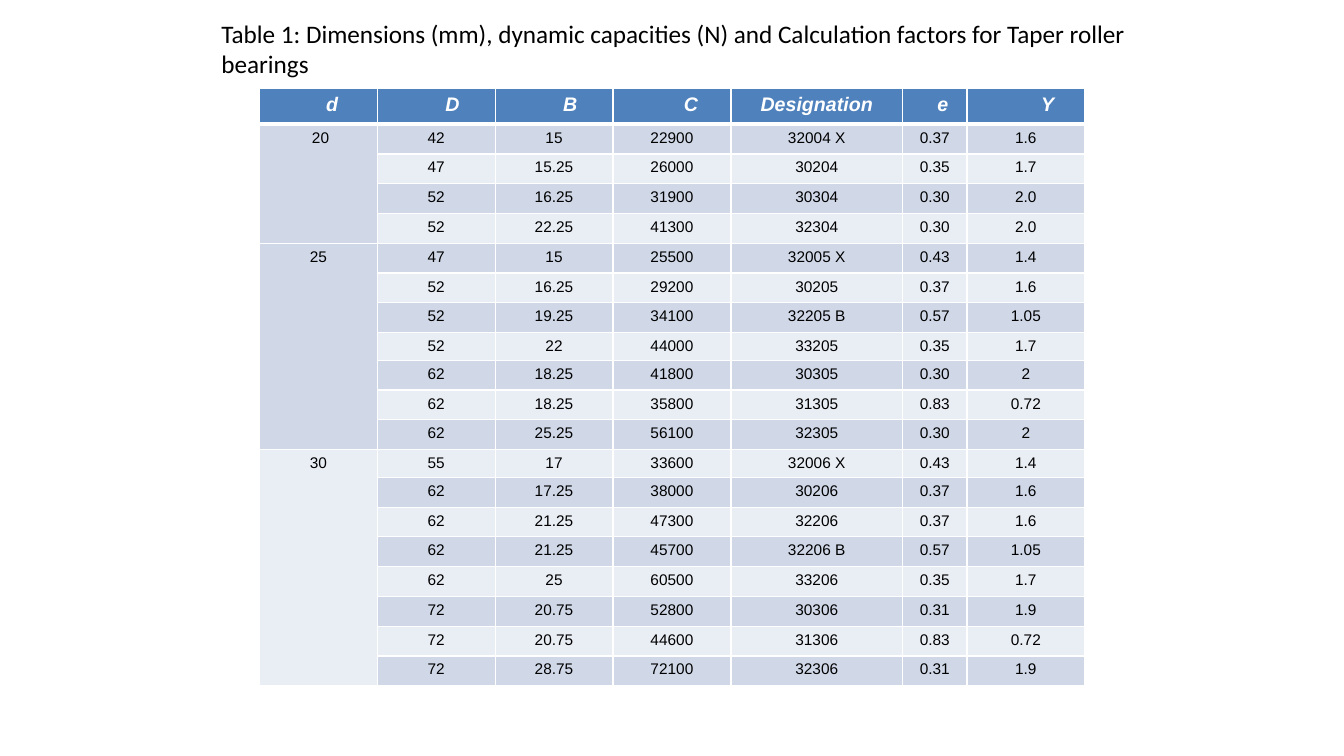
from lxml.etree import SubElement
from pptx import Presentation
from pptx.dml.color import RGBColor
from pptx.enum.text import MSO_ANCHOR, PP_ALIGN
from pptx.oxml.ns import qn
from pptx.util import Cm, Pt

WHITE = RGBColor(0xFF, 0xFF, 0xFF)
BLACK = RGBColor(0, 0, 0)
HEADER_BLUE = RGBColor(0x4F, 0x81, 0xBD)
BAND_DARK = RGBColor(0xD0, 0xD8, 0xE8)
BAND_LIGHT = RGBColor(0xE9, 0xED, 0xF4)

TITLE = ("Table 1: Dimensions (mm), dynamic capacities (N) and "
         "Calculation factors for Taper roller bearings")
HEADERS = ["d", "D", "B", "C", "Designation", "e", "Y"]
HEADER_INDENTS = [0.69, 0.82, 0.82, 0.96, 0, 0.41, 1.1]
COLUMN_WIDTHS = [2.97, 2.97, 2.97, 2.97, 4.33, 1.62, 2.97]
HEADER_HEIGHT, ROW_HEIGHT, SHORT_HEIGHT = 0.89, 0.75, 0.7
SHORT_ROWS = (8, 12)
MARGIN = 0.25

BEARINGS = {
    "20": [
        ["42", "15", "22900", "32004 X", "0.37", "1.6"],
        ["47", "15.25", "26000", "30204", "0.35", "1.7"],
        ["52", "16.25", "31900", "30304", "0.30", "2.0"],
        ["52", "22.25", "41300", "32304", "0.30", "2.0"],
    ],
    "25": [
        ["47", "15", "25500", "32005 X", "0.43", "1.4"],
        ["52", "16.25", "29200", "30205", "0.37", "1.6"],
        ["52", "19.25", "34100", "32205 B", "0.57", "1.05"],
        ["52", "22", "44000", "33205", "0.35", "1.7"],
        ["62", "18.25", "41800", "30305", "0.30", "2"],
        ["62", "18.25", "35800", "31305", "0.83", "0.72"],
        ["62", "25.25", "56100", "32305", "0.30", "2"],
    ],
    "30": [
        ["55", "17", "33600", "32006 X", "0.43", "1.4"],
        ["62", "17.25", "38000", "30206", "0.37", "1.6"],
        ["62", "21.25", "47300", "32206", "0.37", "1.6"],
        ["62", "21.25", "45700", "32206 B", "0.57", "1.05"],
        ["62", "25", "60500", "33206", "0.35", "1.7"],
        ["72", "20.75", "52800", "30306", "0.31", "1.9"],
        ["72", "20.75", "44600", "31306", "0.83", "0.72"],
        ["72", "28.75", "72100", "32306", "0.31", "1.9"],
    ],
}


class SlideBuilder:
    title_font = {"name": "Calibri", "size": Pt(18)}
    header_font = {"name": "Arial", "size": Pt(14), "bold": True, "italic": True}
    body_font = {"name": "Arial", "size": Pt(11), "bold": False, "italic": False}

    def __init__(self, prs):
        self.slide = prs.slides.add_slide(prs.slide_layouts[6])

    def set_text(self, tf, text, font, color, align):
        p = tf.paragraphs[0]
        p.alignment = align
        r = p.add_run()
        r.text = text
        for name, value in font.items():
            setattr(r.font, name, value)
        r.font.color.rgb = color

    def textbox(self, text, x, y, w, h):
        sp = self.slide.shapes.add_textbox(Cm(x), Cm(y), Cm(w), Cm(h))
        sp.text_frame.word_wrap = True
        self.set_text(sp.text_frame, text, self.title_font, BLACK, PP_ALIGN.LEFT)

    def borders(self, cell, top, bottom):
        tcPr = cell._tc.get_or_add_tcPr()
        widths = {"a:lnL": 1, "a:lnR": 1, "a:lnT": top, "a:lnB": bottom}
        for tag, width in widths.items():
            ln = SubElement(tcPr, qn(tag), w=str(Pt(width)))
            fill = SubElement(ln, qn("a:solidFill"))
            SubElement(fill, qn("a:srgbClr"), val=str(WHITE))

    def paint(self, cell, row):
        self.borders(cell, 3 if row == 1 else 1, 3 if row == 0 else 1)
        cell.fill.solid()
        band = BAND_DARK if row % 2 else BAND_LIGHT
        cell.fill.fore_color.rgb = band if row else HEADER_BLUE

    def cell(self, cell, text, font, color, indent=0):
        cell.vertical_anchor = MSO_ANCHOR.TOP
        cell.margin_left = Cm(MARGIN + indent)
        self.set_text(cell.text_frame, text, font, color, PP_ALIGN.CENTER)

    def table(self, x, y, groups):
        heights = [HEADER_HEIGHT]
        for row in range(1, 1 + sum(len(rows) for rows in groups.values())):
            heights.append(SHORT_HEIGHT if row in SHORT_ROWS else ROW_HEIGHT)
        frame = self.slide.shapes.add_table(
            len(heights), len(COLUMN_WIDTHS), Cm(x), Cm(y),
            Cm(sum(COLUMN_WIDTHS)), Cm(sum(heights)))
        tbl = frame.table
        tbl.horz_banding = False
        for column, width in zip(tbl.columns, COLUMN_WIDTHS):
            column.width = Cm(width)
        for i, height in enumerate(heights):
            tbl.rows[i].height = Cm(height)
            for cell in tbl.rows[i].cells:
                self.paint(cell, i)
        for j, (text, indent) in enumerate(zip(HEADERS, HEADER_INDENTS)):
            self.cell(tbl.cell(0, j), text, self.header_font, WHITE, indent)
        first = 1
        for bore, rows in groups.items():
            bore_cell = tbl.cell(first, 0)
            bore_cell.merge(tbl.cell(first + len(rows) - 1, 0))
            indent = 0.11 if first == 1 else 0
            self.cell(bore_cell, bore, self.body_font, BLACK, indent)
            for i, values in enumerate(rows, first):
                for j, text in enumerate(values, 1):
                    self.cell(tbl.cell(i, j), text, self.body_font, BLACK)
            first += len(rows)


def main():
    prs = Presentation()
    prs.slide_width, prs.slide_height = Cm(33.87), Cm(19.05)
    s = SlideBuilder(prs)
    s.table(6.54, 2.24, BEARINGS)
    s.textbox(TITLE, 5.33, 0.33, 24.31, 1.8)
    prs.save("out.pptx")


if __name__ == "__main__":
    main()
